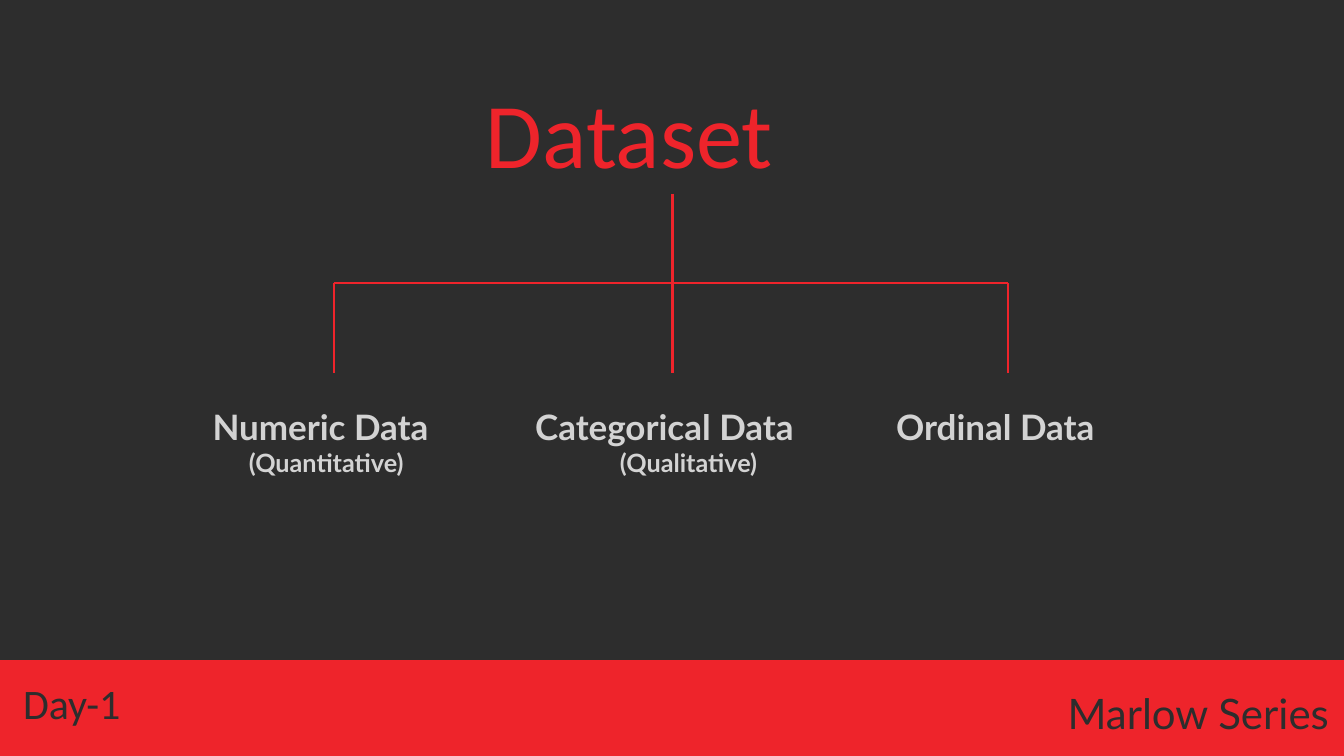
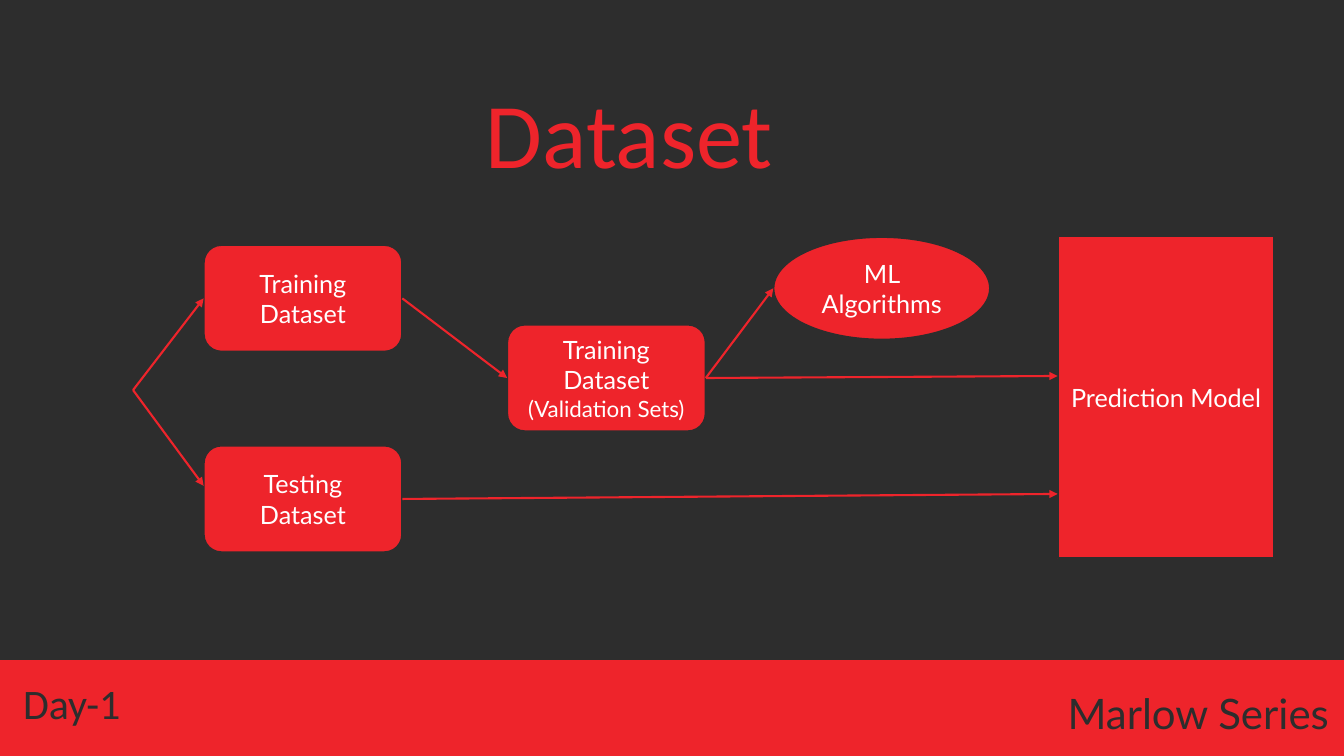
import pptx
import pptx.util
import pptx.dml.color
import pptx.enum.shapes
import pptx.enum.text
from lxml import etree

Inches, Pt = pptx.util.Inches, pptx.util.Pt
RGBColor = pptx.dml.color.RGBColor
SHAPES = pptx.enum.shapes.MSO_SHAPE
ALIGN = pptx.enum.text.PP_ALIGN
ANCHOR = pptx.enum.text.MSO_ANCHOR

# Shared style
DARK = RGBColor(0x2D, 0x2D, 0x2D)
RED = RGBColor(0xEE, 0x24, 0x2B)
GREY = RGBColor(0xD3, 0xD3, 0xD3)
WHITE = RGBColor(0xFF, 0xFF, 0xFF)
HEADING_FONT, BODY_FONT = "Calibri", "Lato"
LINE_WIDTH = Pt(1.5)
WIDTH, HEIGHT = 13.33, 7.5
A = "http://schemas.openxmlformats.org/drawingml/2006/main"


def write(frame, lines, color, font=BODY_FONT, bold=False, align=ALIGN.LEFT):
    """Fill a frame with lines of (text, size, left indent)."""
    frame.word_wrap = True
    for i, (text, size, indent) in enumerate(lines):
        paragraph = frame.paragraphs[0] if i == 0 else frame.add_paragraph()
        paragraph.alignment = align
        if indent:
            paragraph._p.get_or_add_pPr().set("marL", str(Inches(indent)))
        run = paragraph.add_run()
        run.text = text
        run.font.size = Pt(size)
        run.font.name = font
        run.font.bold = bold
        run.font.color.rgb = color


def add_text(slide, box, lines, color, **style):
    label = slide.shapes.add_textbox(*map(Inches, box))
    write(label.text_frame, lines, color, **style)


def add_block(slide, kind, box, lines=(), outlined=True):
    block = slide.shapes.add_shape(kind, *map(Inches, box))
    block.shadow.inherit = False
    block.fill.solid()
    block.fill.fore_color.rgb = RED
    if outlined:
        block.line.color.rgb = DARK
        block.line.width = LINE_WIDTH
    else:
        block.line.fill.background()
    block.text_frame.vertical_anchor = ANCHOR.MIDDLE
    write(block.text_frame, lines, WHITE, align=ALIGN.CENTER)
    return block


def add_line(slide, start, end, arrow=False):
    line = slide.shapes.add_connector(
        pptx.enum.shapes.MSO_CONNECTOR.STRAIGHT, *map(Inches, (*start, *end)))
    line.line.color.rgb = RED
    line.line.width = LINE_WIDTH
    if arrow:
        etree.SubElement(line.line._get_or_add_ln(), f"{{{A}}}tailEnd", type="triangle")
    etree.SubElement(line._element.spPr, f"{{{A}}}effectLst")
    return line


def add_footer(slide, top):
    add_block(slide, SHAPES.RECTANGLE, (0, top, WIDTH, HEIGHT - top), outlined=False)
    add_text(slide, (0.13, top + 0.12, 1.88, 0.61), [("Day-1", 30, 0)], DARK,
             font=HEADING_FONT)
    add_text(slide, (10.49, top + 0.22, 2.84, 0.62), [("Marlow Series", 30, 0)], DARK)


def start_slide(prs, title):
    """Background, footer and title common to all slides."""
    slide = prs.slides.add_slide(prs.slide_layouts[6])
    slide.background.fill.solid()
    slide.background.fill.fore_color.rgb = DARK
    add_footer(slide, 6.55)
    add_text(slide, (4.72, 0.71, 3.9, 1.21), [(title, 66, 0)], RED, font=HEADING_FONT)
    return slide


def add_data_tree(slide, left, top):
    """Trunk, crossbar and three labelled branches."""
    branches = [
        # branch x, label x, label width, lines
        (1.3, 0, 2.61, [("Numeric Data", 25, 0), ("(Quantitative)", 18, 0.36)]),
        (4.66, 3.2, 2.92, [("Categorical Data", 25, 0), ("(Qualitative)", 18, 0.84)]),
        (7.99, 6.78, 2.42, [("Ordinal Data", 25, 0)]),
    ]
    level = 0.89
    bar, foot = top + level, top + 2 * level
    first, trunk, last = (left + branch[0] for branch in branches)
    add_line(slide, (trunk, top), (trunk, bar))
    add_line(slide, (first, bar), (last, bar))
    for x, label_x, width, lines in branches:
        add_line(slide, (left + x, bar), (left + x, foot))
        add_text(slide, (left + label_x, foot + 0.27, width, 0.82), lines, GREY, bold=True)


def add_model_flow(slide, left, top):
    """Split of the data into sets that feed the prediction model."""
    def block(kind, x, y, width, height, *lines):
        return add_block(slide, kind, (left + x, top + y, width, height),
                         [(text, size, 0) for text, size in lines])

    def arrow(start, end):
        return add_line(slide, *[(left + x, top + y) for x, y in (start, end)], arrow=True)

    # Blocks
    set_size = (1.97, 1.06)
    training = block(SHAPES.ROUNDED_RECTANGLE, 0.7, 0.09, *set_size, ("Training Dataset", 18))
    testing = block(SHAPES.ROUNDED_RECTANGLE, 0.7, 2.08, *set_size, ("Testing Dataset", 18))
    validation = block(SHAPES.ROUNDED_RECTANGLE, 3.71, 0.88, *set_size,
                       ("Training Dataset", 18), ("(Validation Sets)", 16))
    block(SHAPES.OVAL, 6.35, 0.01, 2.15, 1.02, ("ML Algorithms", 18))
    block(SHAPES.RECTANGLE, 9.17, 0, 2.15, 3.2, ("Prediction Model", 18))

    # Fork into training and testing
    fork = (0, 1.53)
    arrow(fork, (0.7, 0.62)).end_connect(training, 1)
    arrow(fork, (0.7, 2.48))

    # Flow towards the model
    to_validation = arrow((2.67, 0.62), (3.71, 1.41))
    to_validation.begin_connect(training, 3)
    to_validation.end_connect(validation, 1)
    arrow((2.67, 2.61), (9.17, 2.56)).begin_connect(testing, 3)
    for target in ((6.35, 0.52), (9.17, 1.39)):
        arrow((5.68, 1.41), target).begin_connect(validation, 3)


def main():
    prs = pptx.Presentation()
    prs.slide_width, prs.slide_height = Inches(WIDTH), Inches(HEIGHT)
    add_data_tree(start_slide(prs, "Dataset"), 2.01, 1.92)
    add_model_flow(start_slide(prs, "Dataset"), 1.32, 2.34)
    prs.save("out.pptx")


if __name__ == "__main__":
    main()
